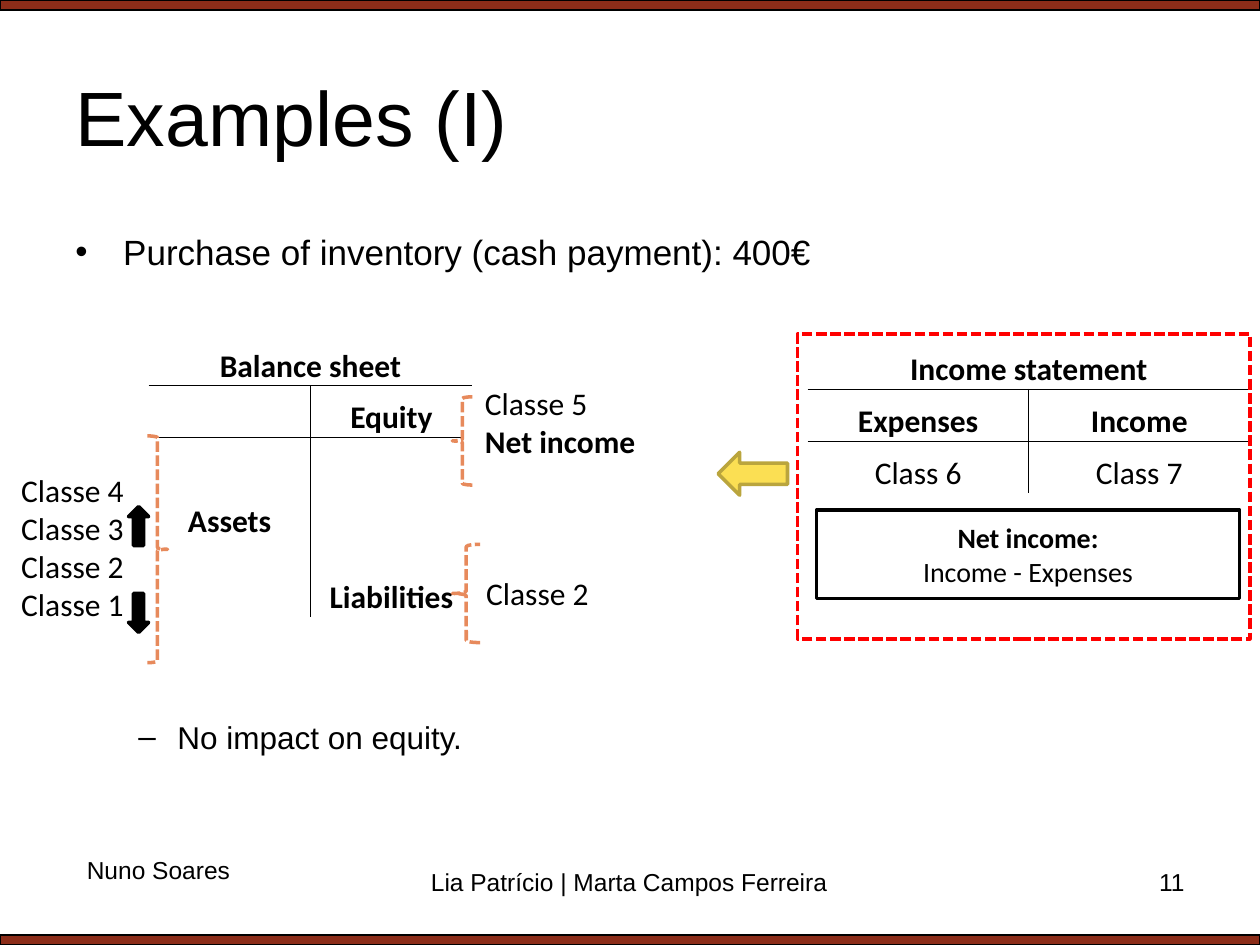
from typing import NamedTuple, Optional

from lxml import etree
from pptx import Presentation
from pptx.dml.color import RGBColor
from pptx.enum import dml, shapes, text
from pptx.oxml import ns
from pptx.util import Inches, Pt

BLACK = RGBColor(0, 0, 0)
WHITE = RGBColor(0xFF, 0xFF, 0xFF)
BAR = RGBColor(0x8C, 0x2D, 0x19)
ORANGE = RGBColor(0xE7, 0x8A, 0x5C)
RED = RGBColor(0xFF, 0, 0)
YELLOW = RGBColor(0xFB, 0xDF, 0x53)
OLIVE = RGBColor(0xBA, 0xA5, 0x3D)
PLAIN_TABLE = "{2D5ABB26-0587-4C30-8999-92F81FD0307C}"
Shape = shapes.MSO_SHAPE
Align = text.PP_ALIGN
Anchor = text.MSO_ANCHOR


class Area(NamedTuple):
    left: float
    top: float
    width: float
    height: float

    def lengths(self) -> list:
        return [Inches(value) for value in self]


class Line(NamedTuple):
    words: str
    bold: bool = False


class Figure(NamedTuple):
    kind: Shape
    area: Area
    fill: Optional[RGBColor]
    outline: RGBColor
    weight: float = 2
    dashed: bool = False


class Label(NamedTuple):
    area: Area
    lines: list
    size: float = 18
    font: str = "Calibri"
    align: Align = Align.LEFT
    wrap: bool = False


class Bullet(NamedTuple):
    area: Area
    mark: str
    words: str
    size: float
    indent: float
    hanging: float


class Account(NamedTuple):
    """A T-account: a heading row over two columns of entries."""
    area: Area
    heading: str
    row_heights: list
    entries: dict


BARS = [Figure(Shape.RECTANGLE, Area(0, top, 10, 0.08), BAR, BLACK, 0.75) for top in (0, 7.42)]
BRACES = [
    Figure(kind, area, WHITE, ORANGE, dashed=True)
    for kind, area in [
        (Shape.RIGHT_BRACE, Area(1.17, 3.46, 0.16, 1.8)),
        (Shape.LEFT_BRACE, Area(3.59, 4.32, 0.22, 0.78)),
        (Shape.LEFT_BRACE, Area(3.59, 3.15, 0.16, 0.7)),
    ]
]
NET_INCOME = Figure(Shape.RECTANGLE, Area(6.48, 4.05, 3.36, 0.7), None, BLACK)
MARKERS = [
    Figure(Shape.RECTANGLE, Area(6.33, 2.65, 3.59, 2.42), None, RED, dashed=True),
    Figure(Shape.LEFT_ARROW, Area(5.7, 3.59, 0.55, 0.34), YELLOW, OLIVE),
    Figure(Shape.DOWN_ARROW, Area(1.02, 4.71, 0.16, 0.31), BLACK, BLACK),
    Figure(Shape.UP_ARROW, Area(1.02, 4.02, 0.16, 0.31), BLACK, BLACK),
]
BULLETS = [
    Bullet(Area(0.5, 1.78, 9, 0.5), "•", "Purchase of inventory (cash payment): 400€", 20, 0.38, 0.38),
    Bullet(Area(0.5, 5.65, 9, 0.5), "–", "No impact on equity.", 18, 0.81, 0.31),
]
LABELS = [
    Label(Area(0.07, 3.69, 1.02, 1.31), [Line(f"Classe {number}") for number in (4, 3, 2, 1)]),
    Label(Area(3.76, 4.51, 1.02, 0.4), [Line("Classe 2")]),
    Label(Area(3.75, 3, 1.41, 0.71), [Line("Classe 5"), Line("Net income", True)]),
    Label(Area(0.59, 6.74, 1.35, 0.34), [Line("Nuno Soares")], 14, "Arial"),
    Label(Area(3.26, 6.83, 3.47, 0.52), [Line("Lia Patrício | Marta Campos Ferreira")],
          14, "Arial", Align.CENTER, True),
    Label(Area(7.17, 6.83, 2.33, 0.52), [Line("11")], 14, "Arial", Align.RIGHT, True),
]
ACCOUNTS = [
    Account(Area(1.18, 2.65, 2.57, 2.25), "Balance sheet", [0.41] * 4 + [0.61], {
        (1, 1): Line("Equity", True),
        (3, 0): Line("Assets", True),
        (4, 1): Line("Liabilities", True),
    }),
    Account(Area(6.41, 2.68, 3.51, 1.22), "Income statement", [0.41] * 3, {
        (1, 0): Line("Expenses", True),
        (1, 1): Line("Income", True),
        (2, 0): Line("Class 6"),
        (2, 1): Line("Class 7"),
    }),
]


def write(frame, lines: list, size: float, font: str = "Calibri", align: Align = Align.LEFT) -> None:
    for index, line in enumerate(lines):
        para = frame.add_paragraph() if index else frame.paragraphs[0]
        para.alignment = align
        span = para.add_run()
        span.text = line.words
        span.font.size, span.font.name, span.font.bold = Pt(size), font, line.bold
        span.font.color.rgb = BLACK


def draw_figure(page, figure: Figure):
    shape = page.shapes.add_shape(figure.kind, *figure.area.lengths())
    shape.shadow.inherit = False
    if figure.fill is None:
        shape.fill.background()
    else:
        shape.fill.solid()
        shape.fill.fore_color.rgb = figure.fill
    shape.line.color.rgb = figure.outline
    shape.line.width = Pt(figure.weight)
    if figure.dashed:
        shape.line.dash_style = dml.MSO_LINE.SQUARE_DOT
    return shape


def draw_label(page, label: Label) -> None:
    frame = page.shapes.add_textbox(*label.area.lengths()).text_frame
    frame.word_wrap = label.wrap
    write(frame, label.lines, label.size, label.font, label.align)


def draw_bullet(page, bullet: Bullet) -> None:
    frame = page.shapes.add_textbox(*bullet.area.lengths()).text_frame
    frame.word_wrap = True
    properties = frame.paragraphs[0]._p.get_or_add_pPr()
    properties.set("marL", str(Inches(bullet.indent)))
    properties.set("indent", str(-Inches(bullet.hanging)))
    etree.SubElement(properties, ns.qn("a:buFont"), typeface="Arial")
    etree.SubElement(properties, ns.qn("a:buChar"), char=bullet.mark)
    write(frame, [Line(bullet.words)], bullet.size, "Arial")


def add_border(cell, side: str) -> None:
    border = etree.Element(ns.qn(f"a:{side}"), w=str(Pt(0.5)))
    fill = etree.SubElement(border, ns.qn("a:solidFill"))
    etree.SubElement(fill, ns.qn("a:srgbClr"), val=str(BLACK))
    properties = cell._tc.get_or_add_tcPr()
    borders = [child for child in properties if child.tag.startswith(ns.qn("a:ln"))]
    properties.insert(len(borders), border)


def draw_account(page, account: Account) -> None:
    rows = len(account.row_heights)
    table = page.shapes.add_table(rows, 2, *account.area.lengths()).table
    table.first_row = table.horz_banding = False
    table._tbl.tblPr.find(ns.qn("a:tableStyleId")).text = PLAIN_TABLE
    for row, height in zip(table.rows, account.row_heights):
        row.height = Inches(height)
    entries = {(0, 0): Line(account.heading, True), **account.entries}
    for row in range(rows):
        for column in range(2):
            cell = table.cell(row, column)
            cell.fill.background()
            cell.vertical_anchor = Anchor.BOTTOM
            cell.margin_left = cell.margin_right = cell.margin_top = Inches(0.01)
            cell.margin_bottom = 0
            if (row, column) in entries:
                write(cell.text_frame, [entries[row, column]], 18, align=Align.CENTER)
            if row:
                add_border(cell, "lnL" if column else "lnR")
            if row == 1:
                add_border(cell, "lnT")
            elif row == 0:
                add_border(cell, "lnB")
    table.cell(0, 0).merge(table.cell(0, 1))


def main() -> None:
    deck = Presentation()
    deck.slide_width, deck.slide_height = Inches(10), Inches(7.5)
    page = deck.slides.add_slide(deck.slide_layouts[5])
    title = page.shapes.title
    title.left, title.top, title.width, title.height = Area(0.5, 0.29, 9, 1.25).lengths()
    title.text_frame.vertical_anchor = Anchor.MIDDLE
    write(title.text_frame, [Line("Examples (I)")], 44, "Arial")

    for bar in BARS:
        draw_figure(page, bar)
    for bullet in BULLETS:
        draw_bullet(page, bullet)
    for account in ACCOUNTS:
        draw_account(page, account)
    for brace in BRACES:
        draw_figure(page, brace)
    result = draw_figure(page, NET_INCOME).text_frame
    result.vertical_anchor = Anchor.MIDDLE
    write(result, [Line("Net income:", True), Line("Income - Expenses")], 16, align=Align.CENTER)
    for marker in MARKERS:
        draw_figure(page, marker)
    for label in LABELS:
        draw_label(page, label)
    deck.save("out.pptx")


if __name__ == "__main__":
    main()
